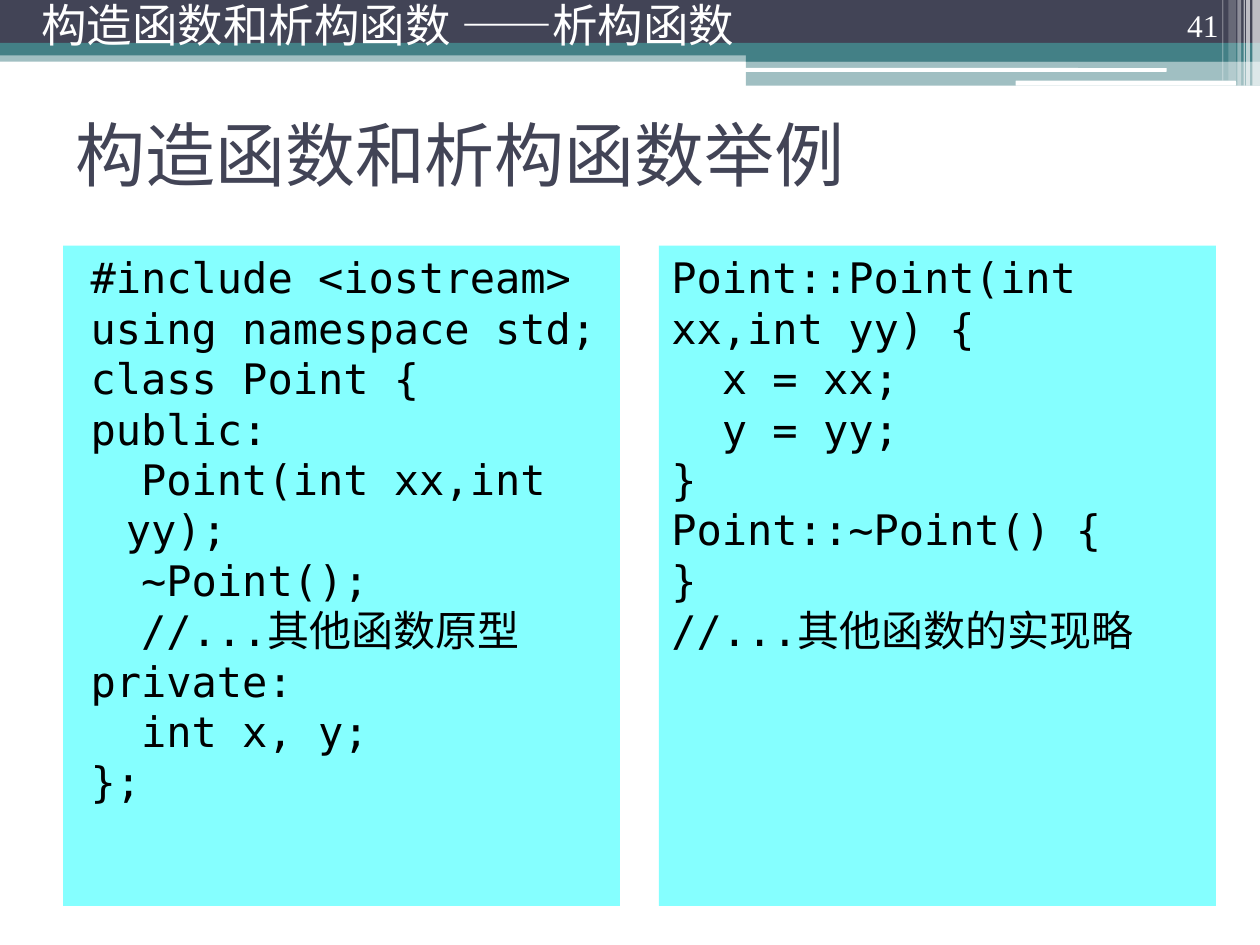
from lxml.etree import SubElement
from pptx import Presentation
from pptx.dml.color import RGBColor
from pptx.enum.shapes import MSO_SHAPE as Shape
from pptx.enum.text import MSO_ANCHOR as Anchor, PP_ALIGN as Align
from pptx.oxml.ns import qn
from pptx.util import Inches, Pt

WIDTH, HEIGHT = 10, 7.5
NAVY, TEAL, WHITE, CYAN, BLACK = "424456", "438086", "FFFFFF", "85FFFF", "000000"
RIGHT_BAND = 5.92

BANDS = [
    (0, 0.4, WIDTH, 0.09, TEAL, 50),
    (0, 0, WIDTH, 0.34, NAVY, 100),
    (0, 0.34, WIDTH, 0.1, TEAL, 100),
    (RIGHT_BAND, 0.39, WIDTH - RIGHT_BAND, 0.1, TEAL, 100),
    (RIGHT_BAND, 0.48, WIDTH - RIGHT_BAND, 0.2, TEAL, 50),
]
HIGHLIGHTS = [(5.91, 0.54, 3.35, 0.03), (8.06, 0.64, 1.75, 0.04)]
STRIPES = [
    (9.94, 0.06, 0.68, 65),
    (9.89, 0.03, 0.68, 65),
    (9.87, 0.01, 0.68, 60),
    (9.82, 0.03, 0.68, 40),
    (9.75, 0.06, 0.64, 20),
    (9.7, 0.01, 0.64, 30),
]

HEADINGS = [
    ("构造函数和析构函数举例", (0.5, 0.63, 9, 1.17), 40, "Lato", NAVY,
     {"vertical_anchor": Anchor.MIDDLE}, {}),
    ("41", (8.94, 0, 0.83, 0.4), 18, "Times New Roman", WHITE,
     {"vertical_anchor": Anchor.BOTTOM}, {"alignment": Align.RIGHT}),
    ("构造函数和析构函数 ——析构函数", (0.23, 0, 8.44, 0.47), 26, "Lato", WHITE,
     {"vertical_anchor": Anchor.MIDDLE}, {"line_spacing": 0.8}),
]

DECLARATION = """#include <iostream>
using namespace std;
class Point {
public:
  Point(int xx,int yy);
  ~Point();
  //...其他函数原型
private:
  int x, y;
};"""
DEFINITION = """Point::Point(int xx,int yy) {
  x = xx;
  y = yy;
}
Point::~Point() {
}
//...其他函数的实现略"""
LISTINGS = [(DECLARATION, 0.4, -0.28), (DEFINITION, 0, 0)]
PANEL_LEFT, PANEL_TOP, PANEL_WIDTH, PANEL_HEIGHT, PANEL_STEP = 0.5, 1.95, 4.42, 5.24, 4.73


def rgb(color):
    """Turn a hex string into a colour."""
    return RGBColor.from_string(color)


def add_block(slide, box, color, opacity=100, kind=Shape.RECTANGLE):
    """Add a borderless filled shape."""
    block = slide.shapes.add_shape(kind, *map(Inches, box))
    block.shadow.inherit = False
    block.line.fill.background()
    block.fill.solid()
    block.fill.fore_color.rgb = rgb(color)
    if opacity < 100:
        tint = block.fill._xPr.find(qn("a:solidFill"))[0]
        SubElement(tint, qn("a:alpha"), val=str(opacity * 1000))
    return block


def write(holder, lines, size, face, color, frame_format, line_format, margin=0, indent=0):
    """Fill a shape with equally formatted paragraphs."""
    frame = holder.text_frame
    for name, value in {"word_wrap": True, **frame_format}.items():
        setattr(frame, name, value)
    for number, line in enumerate(lines):
        paragraph = frame.paragraphs[0] if number == 0 else frame.add_paragraph()
        run = paragraph.add_run()
        run.text = line
        for name, value in {"alignment": Align.LEFT, **line_format}.items():
            setattr(paragraph, name, value)
        for name, value in {"size": Pt(size), "name": face}.items():
            setattr(run.font, name, value)
        run.font.color.rgb = rgb(color)
        if margin:
            properties = paragraph._p.get_or_add_pPr()
            properties.set("marL", str(Inches(margin)))
            properties.set("indent", str(Inches(indent)))


def main():
    """Build and save the slide."""
    deck = Presentation()
    deck.slide_width, deck.slide_height = Inches(WIDTH), Inches(HEIGHT)
    slide = deck.slides.add_slide(deck.slide_layouts[6])
    for *box, color, opacity in BANDS:
        add_block(slide, box, color, opacity)
    for box in HIGHLIGHTS:
        add_block(slide, box, WHITE, kind=Shape.ROUNDED_RECTANGLE)
    for left, width, height, opacity in STRIPES:
        add_block(slide, (left, 0, width, height), WHITE, opacity)
    for text, box, *style in HEADINGS:
        write(slide.shapes.add_textbox(*map(Inches, box)), [text], *style)
    for column, (code, margin, indent) in enumerate(LISTINGS):
        left = PANEL_LEFT + column * PANEL_STEP
        panel = add_block(slide, (left, PANEL_TOP, PANEL_WIDTH, PANEL_HEIGHT), CYAN)
        write(panel, code.splitlines(), 24, "DejaVu Sans Mono", BLACK,
              {"vertical_anchor": Anchor.TOP}, {}, margin, indent)
    deck.save("out.pptx")


if __name__ == "__main__":
    main()
